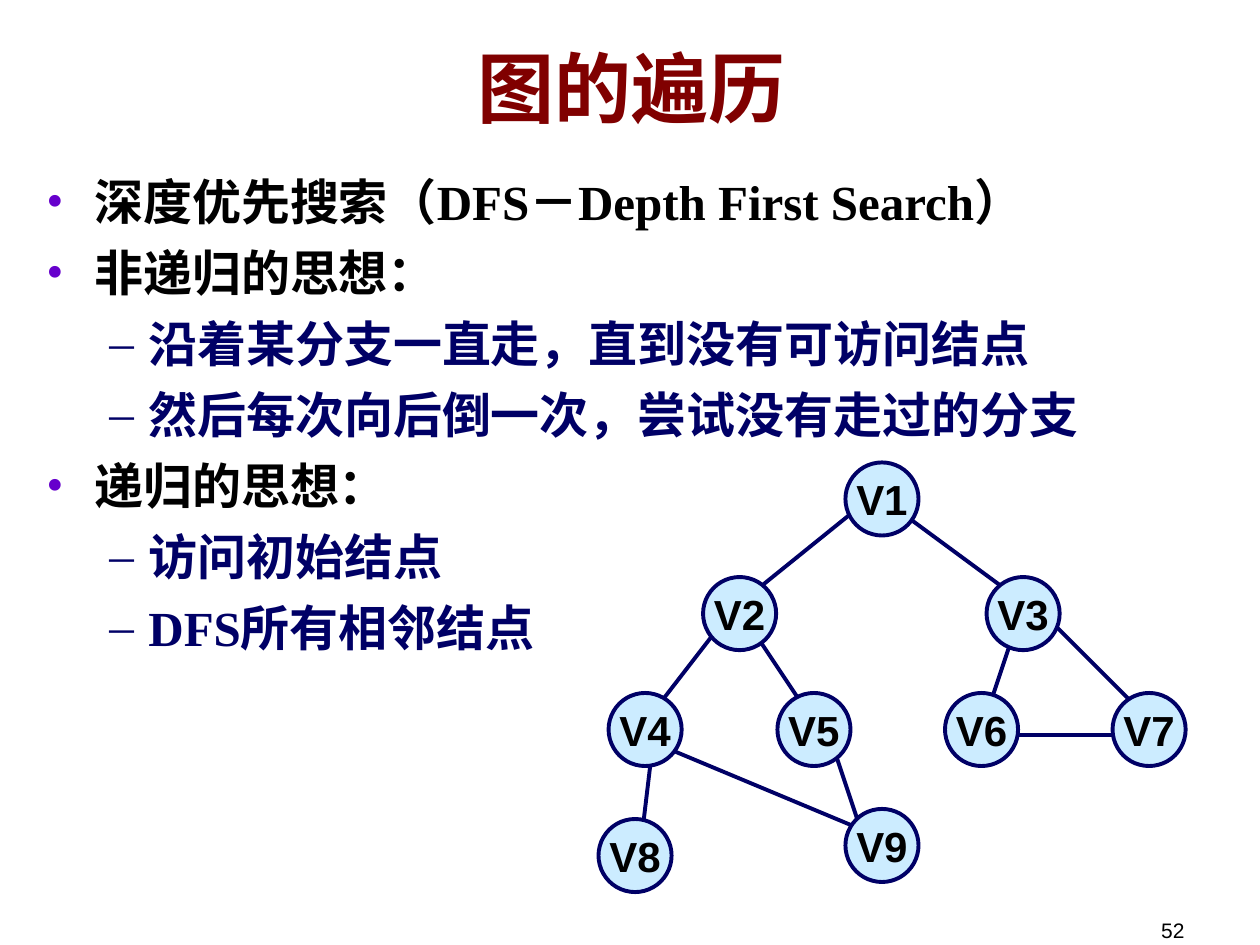
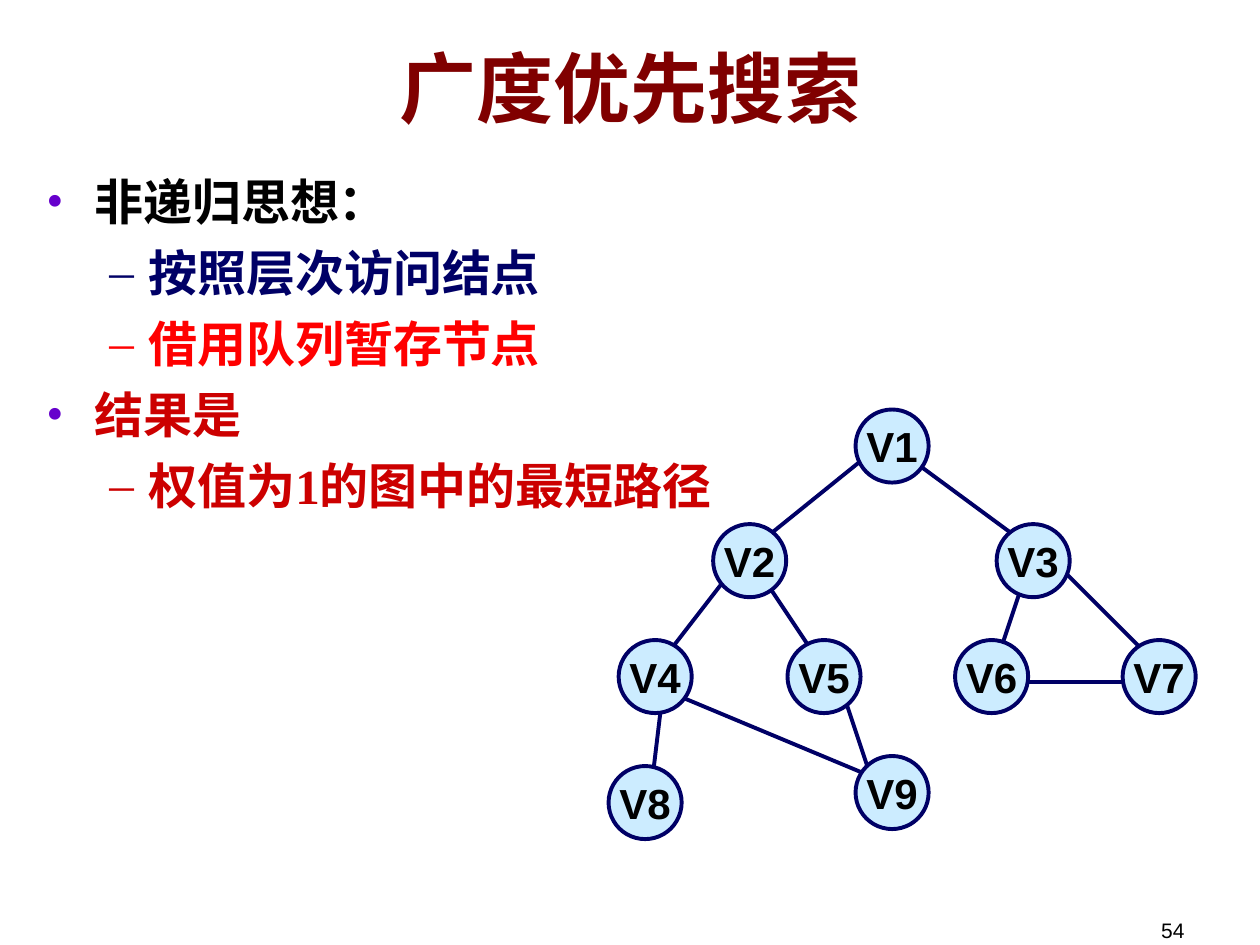
"""Build two slides on depth-first and breadth-first graph traversal."""
from lxml.etree import SubElement
from pptx import Presentation
from pptx.dml.color import RGBColor
from pptx.enum.shapes import MSO_CONNECTOR, MSO_SHAPE
from pptx.enum.text import MSO_ANCHOR, PP_ALIGN
from pptx.oxml.ns import qn
from pptx.util import Inches, Pt

NAVY, MAROON, BLACK = "000066", "800000", "000000"
VIOLET, RED, CRIMSON, PALE_BLUE = "6600CC", "FF0000", "CC0000", "CCECFF"
SERIF, SANS = "Times New Roman", "Arial"

NODE_SIZE = 0.58
NODES = {
    "V1": (6.71, 3.67), "V2": (5.58, 4.58), "V3": (7.83, 4.58),
    "V4": (4.83, 5.5), "V5": (6.17, 5.5), "V6": (7.5, 5.5),
    "V7": (8.83, 5.5), "V9": (6.71, 6.42), "V8": (4.75, 6.5),
}
EDGES = [
    (6.58, 5.83, 6.83, 6.58), (5.25, 5.92, 6.83, 6.58),
    (7.83, 5.83, 9.08, 5.83), (5.17, 6, 5.08, 6.75),
    (8.33, 4.92, 9.08, 5.67), (8.08, 4.92, 7.83, 5.67),
    (5.92, 4.92, 6.42, 5.67), (5.75, 4.92, 5.17, 5.67),
    (7.17, 4.08, 8.08, 4.75), (6.75, 4.08, 5.92, 4.75),
]

SLIDES = [
    ("图的遍历", "52", (0, 0), [
        (0, "深度优先搜索（DFS－Depth First Search）", BLACK),
        (0, "非递归的思想：", BLACK),
        (1, "沿着某分支一直走，直到没有可访问结点", NAVY),
        (1, "然后每次向后倒一次，尝试没有走过的分支", NAVY),
        (0, "递归的思想：", BLACK),
        (1, "访问初始结点", NAVY),
        (1, "DFS所有相邻结点", NAVY),
    ]),
    ("广度优先搜索", "54", (0.08, -0.42), [
        (0, "非递归思想：", BLACK),
        (1, "按照层次访问结点", NAVY),
        (1, "借用队列暂存节点", RED),
        (0, "结果是", CRIMSON),
        (1, "权值为1的图中的最短路径", CRIMSON),
    ]),
]
LEVELS = [("•", 0.38, -0.38), ("–", 0.81, -0.31)]


def rgb(color):
    return RGBColor.from_string(color)


def write(paragraph, text, size, font, color, bold, align):
    paragraph.alignment = align
    run = paragraph.add_run()
    run.text = text
    run.font.size = Pt(size)
    run.font.name = font
    run.font.bold = bold
    run.font.color.rgb = rgb(color)


prs = Presentation()
prs.slide_width, prs.slide_height = Inches(10), Inches(7.5)

for heading, number, (shift_x, shift_y), points in SLIDES:
    slide = prs.slides.add_slide(prs.slide_layouts[6])

    for text, place, anchor, align, size, font, color, bold in [
        (number, (7.17, 7.03, 2.33, 0.5), MSO_ANCHOR.BOTTOM, PP_ALIGN.RIGHT, 12, SANS, BLACK, False),
        (heading, (0.51, 0.13, 9, 1.12), MSO_ANCHOR.MIDDLE, PP_ALIGN.CENTER, 44, SERIF, MAROON, True),
    ]:
        frame = slide.shapes.add_textbox(*map(Inches, place)).text_frame
        frame.word_wrap = True
        frame.vertical_anchor = anchor
        write(frame.paragraphs[0], text, size, font, color, bold, align)

    outline = slide.shapes.add_textbox(*map(Inches, (0.27, 1.31, 9.45, 5.67))).text_frame
    outline.word_wrap = True
    for index, (level, text, color) in enumerate(points):
        point = outline.add_paragraph() if index else outline.paragraphs[0]
        mark, margin, indent = LEVELS[level]
        properties = point._p.get_or_add_pPr()
        properties.set("marL", str(Inches(margin)))
        properties.set("indent", str(Inches(indent)))
        mark_color = SubElement(properties, qn("a:buClr"))
        SubElement(mark_color, qn("a:srgbClr")).set("val", color if level else VIOLET)
        SubElement(properties, qn("a:buFont")).set("typeface", SERIF)
        SubElement(properties, qn("a:buChar")).set("char", mark)
        point.level = level
        if index:
            point.space_before = Pt(7)
        write(point, text, 28, SERIF, color, True, PP_ALIGN.LEFT)

    graph = slide.shapes.add_group_shape().shapes
    for x1, y1, x2, y2 in EDGES:
        ends = (x1 + shift_x, y1 + shift_y, x2 + shift_x, y2 + shift_y)
        edge = graph.add_connector(MSO_CONNECTOR.STRAIGHT, *map(Inches, ends))
        edge.line.color.rgb = rgb(NAVY)
        edge.line.width = Pt(2.25)
        SubElement(edge._element.spPr, qn("a:effectLst"))

    for label, (x, y) in NODES.items():
        place = (x + shift_x, y + shift_y, NODE_SIZE, NODE_SIZE)
        node = graph.add_shape(MSO_SHAPE.OVAL, *map(Inches, place))
        node.shadow.inherit = False
        node.fill.solid()
        node.fill.fore_color.rgb = rgb(PALE_BLUE)
        node.line.color.rgb = rgb(NAVY)
        node.line.width = Pt(2.25)
        node.text_frame.word_wrap = False
        node.text_frame.vertical_anchor = MSO_ANCHOR.MIDDLE
        write(node.text_frame.paragraphs[0], label, 24, SANS, BLACK, True, PP_ALIGN.CENTER)

prs.save("out.pptx")
